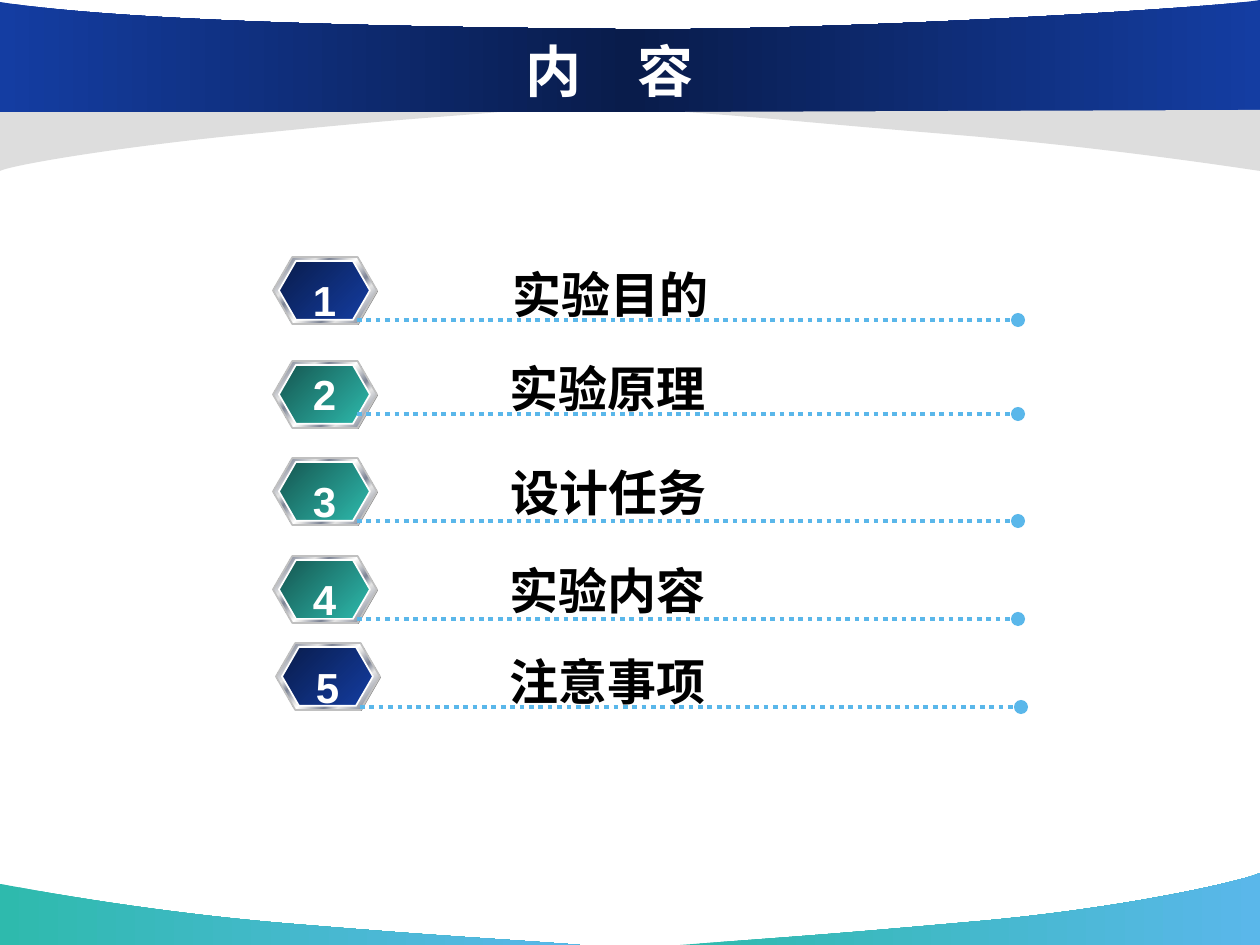
from dataclasses import dataclass
from typing import NamedTuple

import lxml.etree
import pptx
import pptx.dml.color
import pptx.enum.dml
import pptx.enum.shapes
import pptx.enum.text
import pptx.oxml.ns
import pptx.util

EMU_PER_PX = 914400 / 168


class Gradient(NamedTuple):
    stops: tuple[tuple[int, str], ...]  # (percent, colour)
    angle: int = 0  # clockwise degrees


@dataclass(frozen=True)
class Theme:
    white: str = "FFFFFF"
    black: str = "000000"
    shade: str = "DDDDDD"
    badge_shadow: str = "808080"
    rim_line: str = "C0C0C0"
    rule: str = "5AB7EA"
    footer: Gradient = Gradient(((0, "2EBAAD"), (100, "5AB7EA")))
    banner: Gradient = Gradient(((0, "143DA2"), (50, "091C4B"), (100, "143DA2")))
    navy: Gradient = Gradient(((0, "091C4B"), (100, "143DA2")), 45)
    teal: Gradient = Gradient(((0, "155650"), (100, "2EBAAD")), 45)
    metal: Gradient = Gradient((
        (0, "E6E6E6"), (8, "7D8496"), (26, "E6E6E6"), (34, "7D8496"),
        (46, "E6E6E6"), (50, "FFFFFF"), (54, "E6E6E6"), (66, "7D8496"),
        (74, "E6E6E6"), (92, "7D8496"), (100, "E6E6E6")), 45)
    text_font: str = "Noto Sans CJK SC"
    number_font: str = "Arial"
    title_size: int = 24
    label_size: int = 21
    number_size: int = 18


THEME = Theme()


class Wave(NamedTuple):
    start: tuple[int, int]
    segments: tuple  # one point makes a line, three points make a curve
    fill: str | Gradient


class Item(NamedTuple):
    label: str
    badge_left: int
    badge_top: int
    rule_top: int
    label_left: int
    label_top: int
    label_width: int
    fill: Gradient


WAVES = [
    Wave((580, 945), (((484, 938), (450, 937), (292, 924)),
                      ((133, 911), (2, 884), (0, 884)), ((0, 945),)), THEME.footer),
    Wave((680, 945), (((773, 938), (813, 936), (969, 922)),
                      ((1124, 909), (1247, 880), (1260, 873)), ((1260, 945),)), THEME.footer),
    Wave((501, 112), (((417, 119), (402, 119), (262, 133)),
                      ((123, 146), (12, 165), (0, 171)), ((0, 110),)), THEME.shade),
    Wave((0, 112), (((1260, 112),), ((1260, 0),),
                    ((1215, 8), (823, 32), (613, 29)),
                    ((405, 27), (128, 22), (0, 2))), THEME.banner),
    Wave((685, 112), (((781, 119), (810, 123), (968, 136)),
                      ((1127, 150), (1258, 171), (1260, 171)), ((1260, 110),)), THEME.shade),
]

ITEMS = [
    Item("实验目的", 273, 257, 320, 496, 256, 858, THEME.navy),
    Item("实验原理", 273, 361, 414, 493, 350, 858, THEME.teal),
    Item("设计任务", 273, 458, 521, 494, 454, 808, THEME.teal),
    Item("实验内容", 273, 556, 619, 493, 552, 234, THEME.teal),
    Item("注意事项", 276, 643, 707, 493, 643, 234, THEME.navy),
]


def px(length: int) -> int:
    return round(length * EMU_PER_PX)


def colour(value: str) -> pptx.dml.color.RGBColor:
    return pptx.dml.color.RGBColor.from_string(value)


def paint(shape, fill: str | Gradient, line: str | None = None) -> None:
    shape.shadow.inherit = False
    if isinstance(fill, Gradient):
        shape.fill.gradient()
        shape.fill.gradient_angle = (360 - fill.angle) % 360
        stops = next(shape.element.iter(pptx.oxml.ns.qn("a:gsLst")))
        for stop in list(stops):
            stops.remove(stop)
        for percent, value in fill.stops:
            stop = lxml.etree.SubElement(
                stops, pptx.oxml.ns.qn("a:gs"), pos=str(percent * 1000))
            lxml.etree.SubElement(stop, pptx.oxml.ns.qn("a:srgbClr"), val=value)
    else:
        shape.fill.solid()
        shape.fill.fore_color.rgb = colour(fill)
    if line:
        shape.line.color.rgb = colour(line)
        shape.line.width = pptx.util.Pt(0.75)
    else:
        shape.line.fill.background()


def add_wave(shapes, wave: Wave) -> None:
    builder = shapes.build_freeform(px(wave.start[0]), px(wave.start[1]))
    builder.add_line_segments(
        [(px(x), px(y)) for segment in wave.segments for x, y in segment], close=True)
    shape = builder.convert_to_shape()
    # Join the three points of each curve into one Bézier segment
    lines = iter(list(shape.element.iter(pptx.oxml.ns.qn("a:lnTo"))))
    for segment in wave.segments:
        steps = [next(lines) for _ in segment]
        if len(steps) == 3:
            curve = lxml.etree.Element(pptx.oxml.ns.qn("a:cubicBezTo"))
            steps[0].addprevious(curve)
            for step in steps:
                curve.append(step[0])
                step.getparent().remove(step)
    paint(shape, wave.fill)


def add_hexagon(shapes, left: int, top: int, width: int, height: int,
                fill: str | Gradient, line: str | None = None) -> None:
    hexagon = shapes.add_shape(pptx.enum.shapes.MSO_SHAPE.HEXAGON,
                               px(left), px(top), px(width), px(height))
    hexagon.adjustments[0] = 0.289
    paint(hexagon, fill, line)


def add_rule(shapes, left: int, right: int, top: int) -> None:
    rule = shapes.add_connector(pptx.enum.shapes.MSO_CONNECTOR.STRAIGHT,
                                px(left), px(top), px(right), px(top))
    rule.line.color.rgb = colour(THEME.rule)
    rule.line.width = pptx.util.Pt(2)
    rule.line.dash_style = pptx.enum.dml.MSO_LINE.ROUND_DOT
    properties = rule.element.spPr
    line = properties.find(pptx.oxml.ns.qn("a:ln"))
    lxml.etree.SubElement(line, pptx.oxml.ns.qn("a:tailEnd"), type="oval")
    lxml.etree.SubElement(properties, pptx.oxml.ns.qn("a:effectLst"))


def add_text(shapes, text: str, left: int, top: int, width: int, height: int, *,
             size: int, color: str, font: str = THEME.text_font,
             centered: bool = False, wrap: bool = False) -> None:
    frame = shapes.add_textbox(px(left), px(top), px(width), px(height)).text_frame
    frame.word_wrap = wrap
    if wrap:
        frame.vertical_anchor = pptx.enum.text.MSO_ANCHOR.MIDDLE
    else:
        frame.auto_size = pptx.enum.text.MSO_AUTO_SIZE.SHAPE_TO_FIT_TEXT
    paragraph = frame.paragraphs[0]
    alignment = pptx.enum.text.PP_ALIGN
    paragraph.alignment = alignment.CENTER if centered else alignment.LEFT
    run = paragraph.add_run()
    run.text = text
    run.font.size = pptx.util.Pt(size)
    run.font.bold = True
    run.font.color.rgb = colour(color)
    run.font.name = font
    properties = next(frame._txBody.iter(pptx.oxml.ns.qn("a:rPr")))
    lxml.etree.SubElement(properties, pptx.oxml.ns.qn("a:ea"), typeface=font)


def add_item(slide, number: int, item: Item) -> None:
    shapes = slide.shapes.add_group_shape().shapes
    left, top = item.badge_left, item.badge_top
    # Badge: shadow, metal rim, coloured core
    add_hexagon(shapes, left + 1, top + 1, 104, 67, THEME.badge_shadow)
    add_hexagon(shapes, left, top, 104, 67, THEME.metal, THEME.rim_line)
    add_hexagon(shapes, left + 6, top + 4, 91, 59, item.fill, THEME.white)
    # Dotted rule, label and number
    add_rule(shapes, left + 84, left + 745, item.rule_top)
    add_text(shapes, item.label, item.label_left, item.label_top, item.label_width, 76,
             size=THEME.label_size, color=THEME.black)
    add_text(shapes, str(number), left + 23, item.rule_top - 54, 57, 67,
             size=THEME.number_size, color=THEME.white, font=THEME.number_font,
             centered=True)


def main() -> None:
    presentation = pptx.Presentation()
    presentation.slide_width, presentation.slide_height = px(1260), px(945)
    slide = presentation.slides.add_slide(presentation.slide_layouts[6])
    # Banner and footer waves
    for wave in WAVES:
        add_wave(slide.shapes, wave)
    # Title
    add_text(slide.shapes, "内　容", 116, 32, 988, 77, size=THEME.title_size,
             color=THEME.white, centered=True, wrap=True)
    # Contents list
    for number, item in enumerate(ITEMS, start=1):
        add_item(slide, number, item)
    presentation.save("out.pptx")


if __name__ == "__main__":
    main()
